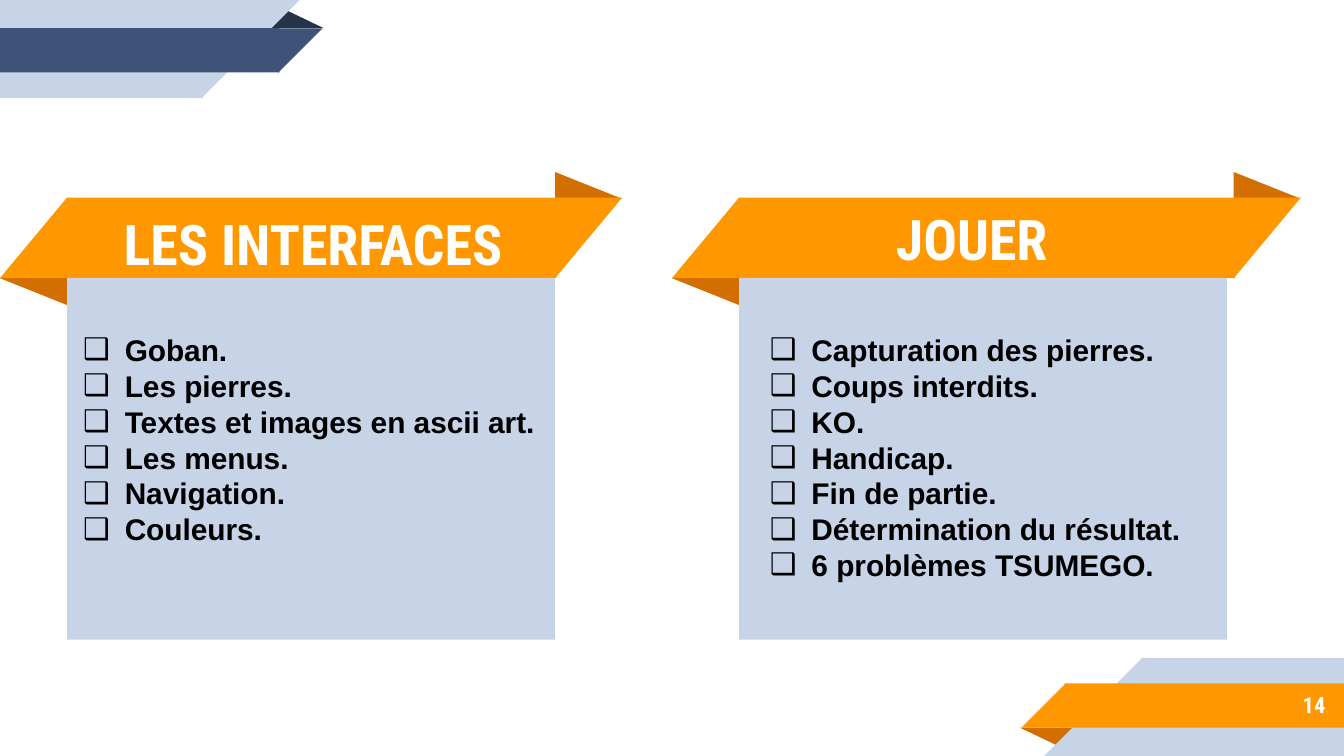
import dataclasses

import pptx
import pptx.dml.color
import pptx.enum.shapes
import pptx.enum.text
import pptx.oxml.ns
import pptx.slide
import pptx.text.text
import pptx.util
from lxml import etree

Inches = pptx.util.Inches
Preset = pptx.enum.shapes.MSO_SHAPE
Align = pptx.enum.text.PP_ALIGN
Anchor = pptx.enum.text.MSO_ANCHOR

WIDTH = 10
HEIGHT = WIDTH * 9 / 16
OVERLAP = 0.01
ORANGE, DARK_ORANGE = "FF9800", "D26F00"
NAVY, DARK_NAVY = "3F5378", "263248"
PALE, WHITE, BLACK = "C7D3E6", "FFFFFF", "000000"
MARGINS = ("margin_left", "margin_top", "margin_right", "margin_bottom")
HEADING = {"name": "Roboto Condensed", "size": pptx.util.Pt(30), "bold": True}
NUMBER = HEADING | {"size": pptx.util.Pt(12)}
LIST_ITEM = {"name": "Arial", "size": pptx.util.Pt(16), "bold": True}


@dataclasses.dataclass(frozen=True)
class Box:
    left: float
    top: float
    width: float
    height: float

    def lengths(self) -> list[pptx.util.Length]:
        return [Inches(value) for value in dataclasses.astuple(self)]

    def opposite(self) -> "Box":
        return Box(WIDTH - self.left - self.width, HEIGHT - self.top - self.height,
                   self.width, self.height)


@dataclasses.dataclass(frozen=True)
class Piece:
    preset: Preset
    box: Box
    color: str
    rotation: int = 0
    flipped: bool = False
    apex: float | None = None


@dataclasses.dataclass(frozen=True)
class Card:
    left: float
    ribbon_width: float
    title: str
    title_box: Box
    list_box: Box
    items: tuple[str, ...]


CARDS = (
    Card(5, 3.68, "JOUER", Box(5.09, 1.48, 4.28, 0.58), Box(5.63, 2.42, 3.37, 2.26),
         ("Capturation des pierres.", "Coups interdits.", "KO.", "Handicap.",
          "Fin de partie.", "Détermination du résultat.", "6 problèmes TSUMEGO.")),
    Card(0, 3.63, "LES INTERFACES", Box(0.19, 1.52, 4.28, 0.58), Box(0.52, 2.42, 3.62, 1.72),
         ("Goban.", "Les pierres.", "Textes et images en ascii art.", "Les menus.",
          "Navigation.", "Couleurs.")),
)


def rgb(color: str) -> pptx.dml.color.RGBColor:
    return pptx.dml.color.RGBColor.from_string(color)


def draw_piece(slide: pptx.slide.Slide, piece: Piece) -> None:
    shape = slide.shapes.add_shape(piece.preset, *piece.box.lengths())
    shape.shadow.inherit = False
    shape.fill.solid()
    shape.fill.fore_color.rgb = rgb(piece.color)
    shape.line.fill.background()
    shape.rotation = piece.rotation
    if piece.apex is not None:
        shape.adjustments[0] = piece.apex
    if piece.flipped:
        shape.element.spPr.find(pptx.oxml.ns.qn("a:xfrm")).set("flipH", "1")


def draw_corner(slide: pptx.slide.Slide, band: str, fold: str, at_bottom: bool) -> None:
    pieces = [Piece(Preset.ISOSCELES_TRIANGLE, Box(1.98, 0.07, 0.43, 0.14), fold, apex=0.32)]
    for top, length, height, color in ((0, 1.5, 0.73, PALE), (0.21, 2.07, 0.33, band)):
        pieces.append(Piece(Preset.RECTANGLE, Box(0, top, length + OVERLAP, height), color))
        pieces.append(Piece(Preset.RIGHT_TRIANGLE, Box(length, top, height, height), color, 180, True))
    for piece in pieces:
        if at_bottom:
            piece = dataclasses.replace(piece, box=piece.box.opposite(),
                                        rotation=(piece.rotation + 180) % 360)
        draw_piece(slide, piece)


def draw_ribbon(slide: pptx.slide.Slide, card: Card) -> None:
    top, height, tail, fold = 1.47, 0.6, 0.5, 0.2
    start = card.left + tail
    end = start + card.ribbon_width
    triangle, right_triangle = Preset.ISOSCELES_TRIANGLE, Preset.RIGHT_TRIANGLE
    for piece in (
        Piece(triangle, Box(end, top - fold + OVERLAP, tail, fold), DARK_ORANGE, apex=0),
        Piece(Preset.RECTANGLE, Box(start, top, card.ribbon_width + OVERLAP, height), ORANGE),
        Piece(right_triangle, Box(end, top, tail, height), ORANGE, 180, True),
        Piece(right_triangle, Box(card.left, top, tail, height), ORANGE, 0, True),
        Piece(triangle, Box(card.left, top + height, tail, fold), DARK_ORANGE, 180, apex=0),
    ):
        draw_piece(slide, piece)


def add_frame(slide: pptx.slide.Slide, box: Box) -> pptx.text.text.TextFrame:
    frame = slide.shapes.add_textbox(*box.lengths()).text_frame
    frame.word_wrap = True
    return frame


def style(paragraph: pptx.text.text._Paragraph, formats: dict, color: str) -> None:
    for name, value in formats.items():
        setattr(paragraph.font, name, value)
    paragraph.font.color.rgb = rgb(color)


def add_label(slide: pptx.slide.Slide, box: Box, text: str, formats: dict, alignment: Align) -> None:
    frame = add_frame(slide, box)
    frame.vertical_anchor = Anchor.MIDDLE
    for margin in MARGINS:
        setattr(frame, margin, Inches(0.1))
    paragraph = frame.paragraphs[0]
    paragraph.text = text
    paragraph.alignment = alignment
    style(paragraph, formats, WHITE)


def add_bullet(paragraph: pptx.text.text._Paragraph) -> None:
    qn = pptx.oxml.ns.qn
    properties = paragraph._p.get_or_add_pPr()
    properties.set("marL", str(Inches(0.31)))
    properties.set("indent", str(Inches(-0.31)))
    bullet_color = etree.SubElement(properties, qn("a:buClr"))
    etree.SubElement(bullet_color, qn("a:srgbClr"), val=BLACK)
    etree.SubElement(properties, qn("a:buFont"), typeface="Arial")
    etree.SubElement(properties, qn("a:buChar"), char="❑")


def add_list(slide: pptx.slide.Slide, card: Card) -> None:
    frame = add_frame(slide, card.list_box)
    frame.text = "\n".join(card.items)
    for paragraph in frame.paragraphs:
        add_bullet(paragraph)
        style(paragraph, LIST_ITEM, BLACK)


def main() -> None:
    presentation = pptx.Presentation()
    presentation.slide_width = Inches(WIDTH)
    presentation.slide_height = Inches(HEIGHT)
    slide = presentation.slides.add_slide(presentation.slide_layouts[6])
    draw_corner(slide, ORANGE, DARK_ORANGE, True)
    draw_corner(slide, NAVY, DARK_NAVY, False)
    for card in CARDS:
        draw_ribbon(slide, card)
        add_label(slide, card.title_box, card.title, HEADING, Align.CENTER)
        draw_piece(slide, Piece(Preset.RECTANGLE, Box(card.left + 0.5, 2.07, 3.63, 2.69), PALE))
        add_list(slide, card)
    add_label(slide, Box(8.33, 5.07, 1.63, 0.35), "14", NUMBER, Align.RIGHT)
    presentation.save("out.pptx")


if __name__ == "__main__":
    main()
